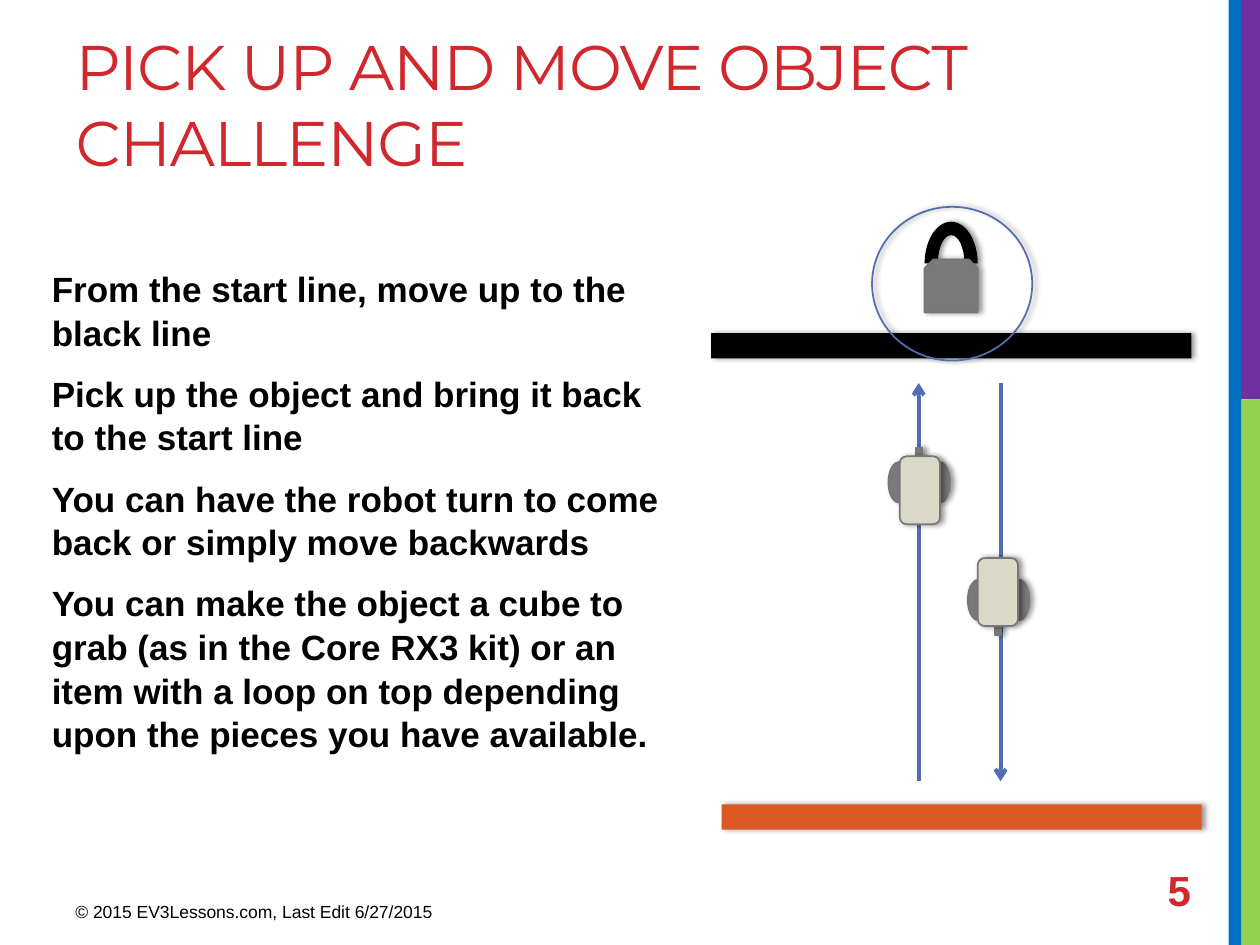
"""Build the slide for the pick up and move object challenge."""
from dataclasses import dataclass
from typing import Any, Optional

from lxml import etree
from pptx import Presentation
from pptx.dml.color import RGBColor
from pptx.enum.shapes import MSO_CONNECTOR, MSO_SHAPE
from pptx.enum.text import MSO_ANCHOR, MSO_AUTO_SIZE, PP_ALIGN
from pptx.oxml.ns import qn
from pptx.util import Cm, Pt

RECT, OVAL = MSO_SHAPE.RECTANGLE, MSO_SHAPE.OVAL
ROUND, SNIP = MSO_SHAPE.ROUNDED_RECTANGLE, MSO_SHAPE.SNIP_2_SAME_RECTANGLE
ARC, LINE = MSO_SHAPE.BLOCK_ARC, MSO_CONNECTOR.STRAIGHT
TOP, MIDDLE = MSO_ANCHOR.TOP, MSO_ANCHOR.MIDDLE
LEFT, FIXED = PP_ALIGN.LEFT, MSO_AUTO_SIZE.NONE

COLORS = {
    "green": "92D050", "purple": "7030A0", "blue": "0070C0",
    "red": "D1282E", "black": "000000", "orange": "DC5924",
    "gray": "7A7A7A", "edge": "777777", "route": "526DB0", "shell": "DAD9C8",
}


@dataclass
class Part:
    kind: Any
    x: float
    y: float
    w: float
    h: float
    fill: Optional[str] = None
    line: Optional[str] = None
    turn: int = 0


@dataclass
class Robot:
    x: float
    y: float
    turn: int


STRIPS = [
    Part(RECT, 24.99, 8.05, 0.41, 11, "green"),
    Part(RECT, 24.89, 0, 0.51, 8.05, "purple"),
    Part(RECT, 24.77, 0, 0.25, 19.05, "blue"),
]
FIELD = [
    Part(RECT, 18.92, 2.13, 0.51, 9.68, "black", turn=90),
    Part(RECT, 19.13, 11.63, 0.51, 9.68, "orange", turn=90),
    Part(ARC, 18.64, 4.47, 1.07, 1.68, "black"),
    Part(SNIP, 18.64, 5.23, 1.07, 1.07, "gray", "edge"),
]
RING = Part(OVAL, 17.58, 4.17, 3.23, 3.1, line="route")
WIDE, HIGH = 1.24, 1.55
BODY = [
    Part(OVAL, 0, 0.3, 0.41, 0.81, "gray", "edge"),
    Part(OVAL, 0.83, 0.3, 0.41, 0.81, "gray", "edge"),
    Part(RECT, 0.56, 0, 0.13, 0.36, "gray", "edge"),
    Part(ROUND, 0.23, 0.18, 0.81, 1.37, "shell", "edge"),
]
ROBOTS = [Robot(17.91, 9.02, 0), Robot(19.51, 11.25, 180)]
NEAR, FAR = 15.75, 7.72
STEPS = [
    "From the start line, move up to the black line",
    "Pick up the object and bring it back to the start line",
    "You can have the robot turn to come back or simply move backwards",
    "You can make the object a cube to grab (as in the Core RX3 kit) or an "
    "item with a loop on top depending upon the pieces you have available.",
]


def color(name: str) -> RGBColor:
    return RGBColor.from_string(COLORS[name])


def shade(shape: Any) -> None:
    effect = shape._element.spPr.find(qn("a:effectLst"))
    cast = etree.SubElement(effect, qn("a:outerShdw"), blurRad="39000",
                            dist="23000", dir="0", rotWithShape="0")
    tint = etree.SubElement(cast, qn("a:srgbClr"), val=COLORS["black"])
    etree.SubElement(tint, qn("a:alpha"), val="40000")


def draw(shapes: Any, part: Part, shadow: bool = True) -> None:
    shape = shapes.add_shape(part.kind, Cm(part.x), Cm(part.y),
                             Cm(part.w), Cm(part.h))
    shape.rotation = part.turn
    if part.fill:
        shape.fill.solid()
        shape.fill.fore_color.rgb = color(part.fill)
    else:
        shape.fill.background()
    if part.line:
        shape.line.color.rgb = color(part.line)
        shape.line.width = Pt(1)
    else:
        shape.line.fill.background()
    shape.shadow.inherit = False
    if shadow:
        shade(shape)


def build(shapes: Any, robot: Robot) -> None:
    group = shapes.add_group_shape()
    for part in BODY:
        x, y = part.x, part.y
        if robot.turn:
            x, y = WIDE - x - part.w, HIGH - y - part.h
        draw(group.shapes, Part(part.kind, robot.x + x, robot.y + y, part.w,
                                part.h, part.fill, part.line, robot.turn))


def arrow(shapes: Any, x: float, start: float, end: float) -> None:
    route = shapes.add_connector(LINE, Cm(x), Cm(start), Cm(x), Cm(end))
    route.line.color.rgb = color("route")
    route.line.width = Pt(2.25)
    etree.SubElement(route.line._get_or_add_ln(), qn("a:tailEnd"), type="arrow")
    etree.SubElement(route._element.spPr, qn("a:effectLst"))


def place(shape: Any, x: float, y: float, w: float, h: float) -> None:
    shape.left, shape.top = Cm(x), Cm(y)
    shape.width, shape.height = Cm(w), Cm(h)


def write(shape: Any, text: str, size: int, ink: str, font: str = "Arial",
          bold: bool = False, anchor: Any = TOP) -> None:
    frame = shape.text_frame
    frame.text = text
    frame.word_wrap = True
    frame.auto_size = FIXED
    frame.vertical_anchor = anchor
    for para in frame.paragraphs:
        para.alignment = LEFT
        for run in para.runs:
            run.font.size = Pt(size)
            run.font.name = font
            run.font.bold = bold
            run.font.color.rgb = color(ink)


def label(shapes: Any, box: tuple, text: str, size: int, ink: str,
          bold: bool = False, anchor: Any = TOP) -> None:
    shape = shapes.add_textbox(*map(Cm, box))
    write(shape, text, size, ink, bold=bold, anchor=anchor)


def main() -> None:
    deck = Presentation()
    deck.slide_width, deck.slide_height = Cm(25.4), Cm(19.05)
    slide = deck.slides.add_slide(deck.slide_layouts[1])
    shapes = slide.shapes

    title, body = shapes.title, slide.placeholders[1]
    place(title, 1.27, 0.43, 22.91, 3.81)
    write(title, "PICK UP AND MOVE OBJECT CHALLENGE", 36, "red", "Montserrat")
    run = title.text_frame.paragraphs[0].runs[0]
    run._r.get_or_add_rPr().set("spc", "-60")

    place(body, 0.79, 5.23, 13.13, 11.1)
    write(body, "\n".join(STEPS), 20, "black", bold=True)
    for i, para in enumerate(body.text_frame.paragraphs):
        para.line_spacing = 1.04
        para.space_before = Pt(4 if i else 0)
        para.space_after = Pt(6)
        props = para._p.get_or_add_pPr()
        props.set("marL", "0")
        props.set("indent", "0")
        etree.SubElement(props, qn("a:buNone"))

    for strip in STRIPS:
        draw(shapes, strip, shadow=False)
    label(shapes, (1.27, 18.03, 9.53, 0.79),
          "© 2015 EV3Lessons.com, Last Edit 6/27/2015", 10, "black")
    label(shapes, (23.29, 17.42, 1.78, 1.02), "5", 24, "red", True, MIDDLE)
    for part in FIELD:
        draw(shapes, part)
    arrow(shapes, 18.52, NEAR, FAR)
    arrow(shapes, 20.17, FAR, NEAR)
    draw(shapes, RING)
    for robot in ROBOTS:
        build(shapes, robot)
    deck.save("out.pptx")


if __name__ == "__main__":
    main()
